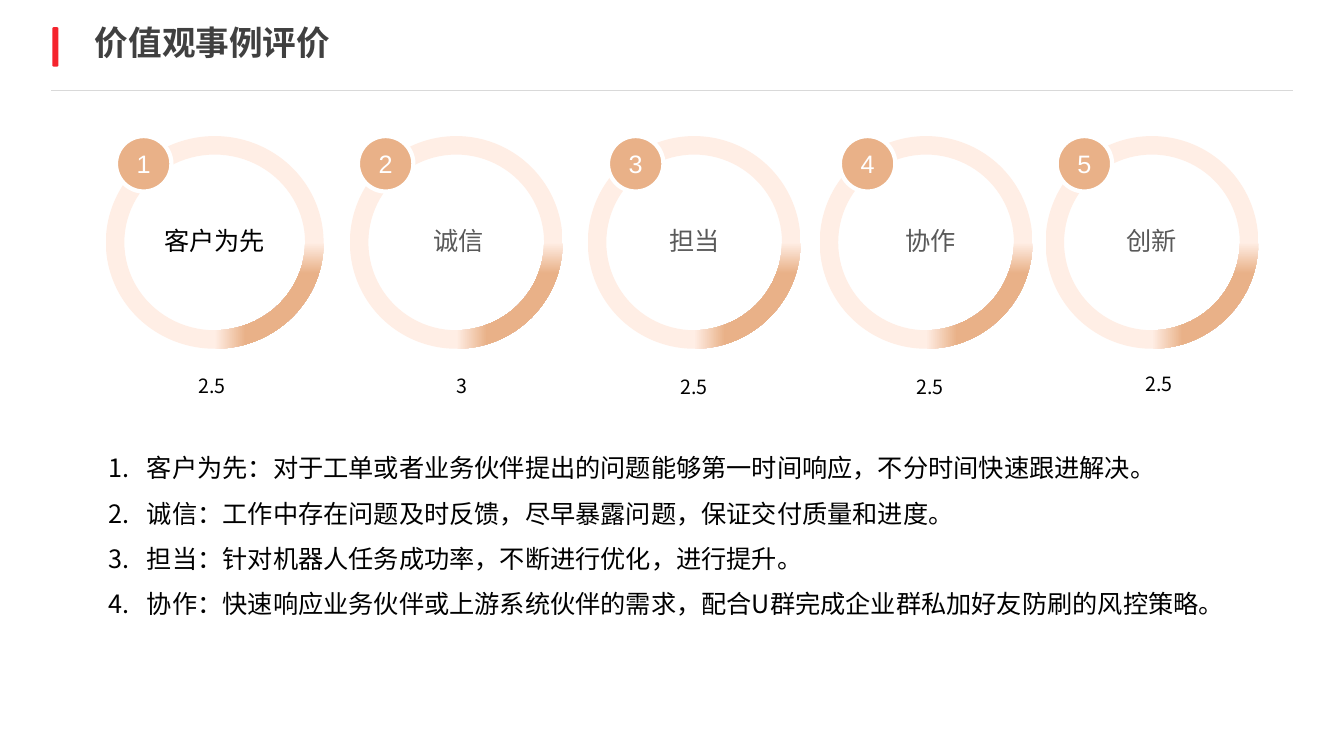
from dataclasses import dataclass

from lxml.etree import SubElement
from pptx import Presentation
from pptx.dml.color import RGBColor
from pptx.enum.shapes import MSO_CONNECTOR, MSO_SHAPE
from pptx.enum.text import MSO_ANCHOR, MSO_AUTO_SIZE, PP_ALIGN
from pptx.oxml import parse_xml
from pptx.oxml.ns import nsdecls, qn
from pptx.shapes.autoshape import Shape
from pptx.slide import Slide
from pptx.text.text import _Paragraph as Paragraph
from pptx.util import Inches, Pt

CHINESE_FONT = "Noto Sans CJK SC"
ORANGE = "E9B188"
PEACH = "FFEEE5"
RING_TOP = 1.35
RING_HEIGHT = 2.11


@dataclass
class CoreValue:
    name: str
    score: str
    ring_left: float
    badge_left: float
    name_left: float
    score_left: float
    score_top: float
    ring_width: float = RING_HEIGHT
    name_color: str = "595959"


CORE_VALUES = [
    CoreValue("客户为先", "2.5", 1.05, 1.15, 0.98, 1.12, 3.66, 2.16, "000000"),
    CoreValue("诚信", "3", 3.47, 3.55, 3.4, 3.6, 3.66),
    CoreValue("担当", "2.5", 5.83, 6.03, 5.74, 5.9, 3.67),
    CoreValue("协作", "2.5", 8.13, 8.33, 8.08, 8.24, 3.67),
    CoreValue("创新", "2.5", 10.37, 10.48, 10.27, 10.51, 3.64),
]

EXAMPLES = [
    "客户为先：对于工单或者业务伙伴提出的问题能够第一时间响应，不分时间快速跟进解决。",
    "诚信：工作中存在问题及时反馈，尽早暴露问题，保证交付质量和进度。",
    "担当：针对机器人任务成功率，不断进行优化，进行提升。",
    "协作：快速响应业务伙伴或上游系统伙伴的需求，配合U群完成企业群私加好友防刷的风控策略。",
]


def color(value: str) -> RGBColor:
    return RGBColor.from_string(value)


def add_span(para: Paragraph, text: str, size: float, text_color: str,
             font_name: str = CHINESE_FONT, bold: bool = False) -> None:
    span = para.add_run()
    span.text = text
    span.font.size = Pt(size)
    span.font.name = font_name
    span.font.bold = bold
    span.font.color.rgb = color(text_color)
    SubElement(span.font._element, qn("a:ea"), typeface=font_name)


def add_text_box(slide: Slide, left: float, top: float, width: float, height: float) -> Shape:
    box = slide.shapes.add_textbox(Inches(left), Inches(top), Inches(width), Inches(height))
    box.text_frame.word_wrap = True
    return box


def add_centered_text(slide: Slide, text: str, left: float, top: float, width: float, height: float,
                      size: float, text_color: str, line_spacing: float = 1.0) -> None:
    para = add_text_box(slide, left, top, width, height).text_frame.paragraphs[0]
    para.alignment = PP_ALIGN.CENTER
    para.line_spacing = line_spacing
    add_span(para, text, size, text_color)


def add_plain_shape(slide: Slide, kind: MSO_SHAPE, left: float, top: float,
                    width: float, height: float, fill: str) -> Shape:
    """Add a solid shape without outline or shadow."""
    shape = slide.shapes.add_shape(kind, Inches(left), Inches(top), Inches(width), Inches(height))
    shape.shadow.inherit = False
    shape.fill.solid()
    shape.fill.fore_color.rgb = color(fill)
    shape.line.fill.background()
    return shape


def add_ring(slide: Slide, left: float, width: float) -> None:
    """Add a donut whose gradient starts at its lower right corner."""
    ring = add_plain_shape(slide, MSO_SHAPE.DONUT, left, RING_TOP, width, RING_HEIGHT, PEACH)
    ring.adjustments[0] = 0.087
    stops = "".join(
        f'<a:gs pos="{percent * 1000}"><a:srgbClr val="{stop}"/></a:gs>'
        for percent, stop in [(0, ORANGE), (71, ORANGE), (100, PEACH)]
    )
    gradient = parse_xml(
        f'<a:gradFill {nsdecls("a")} rotWithShape="1"><a:gsLst>{stops}</a:gsLst>'
        '<a:path path="rect"><a:fillToRect l="100000" t="100000"/></a:path></a:gradFill>'
    )
    properties = ring._element.spPr
    properties.replace(properties.find(qn("a:solidFill")), gradient)


def add_badge(slide: Slide, number: int, left: float) -> None:
    badge = add_plain_shape(slide, MSO_SHAPE.OVAL, left, RING_TOP, 0.55, 0.55, ORANGE)
    badge.line.color.rgb = color("FFFFFF")
    badge.line.width = Pt(3)
    frame = badge.text_frame
    frame.vertical_anchor = MSO_ANCHOR.MIDDLE
    frame.paragraphs[0].alignment = PP_ALIGN.CENTER
    add_span(frame.paragraphs[0], str(number), 18, "FFFFFF", "Arial")


def add_core_value(slide: Slide, number: int, value: CoreValue) -> None:
    add_centered_text(slide, value.name, value.name_left, 2.04, 2.3, 0.5, 18, value.name_color, 1.5)
    add_ring(slide, value.ring_left, value.ring_width)
    add_badge(slide, number, value.badge_left)
    add_centered_text(slide, value.score, value.score_left, value.score_top, 1.97, 0.34, 14, "000000")


def add_header(slide: Slide) -> None:
    rule = slide.shapes.add_connector(
        MSO_CONNECTOR.STRAIGHT, Inches(0.51), Inches(0.9), Inches(12.82), Inches(0.9))
    rule.line.color.rgb = color("D9D9D9")
    rule.line.width = Pt(0.75)
    SubElement(rule._element.spPr, qn("a:effectLst"))

    accent = add_plain_shape(slide, MSO_SHAPE.ROUNDED_RECTANGLE, 0.52, 0.27, 0.06, 0.39, "F5232D")
    accent.adjustments[0] = 0.217

    title = slide.shapes.title
    title.left, title.top = Inches(0.84), Inches(0.21)
    title.width, title.height = Inches(7.78), Inches(0.46)
    frame = title.text_frame
    frame.auto_size = MSO_AUTO_SIZE.NONE
    frame.vertical_anchor = MSO_ANCHOR.MIDDLE
    para = frame.paragraphs[0]
    para.alignment = PP_ALIGN.LEFT
    para.line_spacing = 0.9
    add_span(para, "价值观事例评价", 24, "404040", bold=True)


def add_examples(slide: Slide) -> None:
    frame = add_text_box(slide, 0.98, 4.29, 11.43, 1.87).text_frame
    for index, example in enumerate(EXAMPLES):
        para = frame.add_paragraph() if index else frame.paragraphs[0]
        para.line_spacing = 1.5
        properties = para._p.get_or_add_pPr()
        properties.set("marL", str(Inches(0.38)))
        properties.set("indent", str(Inches(-0.38)))
        SubElement(properties, qn("a:buFont"), typeface=CHINESE_FONT)
        SubElement(properties, qn("a:buAutoNum"), type="arabicPeriod")
        add_span(para, example, 18, "000000")


def main() -> None:
    deck = Presentation()
    deck.slide_width, deck.slide_height = Inches(13.33), Inches(7.5)
    page = deck.slides.add_slide(deck.slide_layouts[5])
    add_header(page)
    for number, value in enumerate(CORE_VALUES, start=1):
        add_core_value(page, number, value)
    add_examples(page)
    deck.save("out.pptx")


if __name__ == "__main__":
    main()
